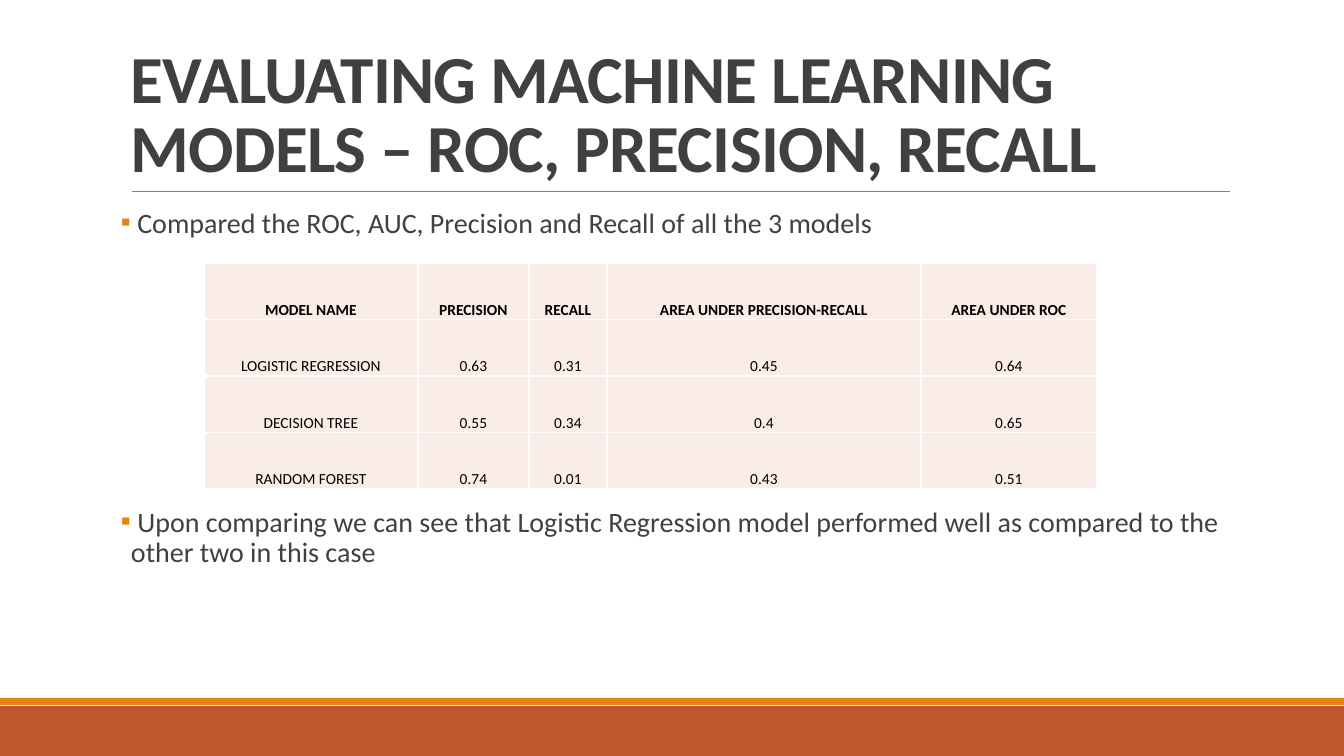
from typing import Any, NamedTuple

from lxml.etree import SubElement
from pptx import Presentation
from pptx.dml.color import RGBColor
from pptx.enum.shapes import MSO_CONNECTOR, MSO_SHAPE
from pptx.enum.text import MSO_ANCHOR, PP_ALIGN
from pptx.oxml.ns import qn
from pptx.util import Pt

EMU_PER_PIXEL = 914400 / 100.8
COLORS = {
    "rust": "BD582C",
    "orange": "E48312",
    "rule": "808080",
    "text": "404040",
    "cell": "FAEDE7",
    "black": "000000",
    "white": "FFFFFF",
}


class Box(NamedTuple):
    left: int
    top: int
    width: int
    height: int


class Band(NamedTuple):
    box: Box
    color: str


class Bullet(NamedTuple):
    text: str
    space_before: int


BANDS = [
    Band(Box(0, 706, 1344, 50), "rust"),
    Band(Box(0, 698, 1344, 7), "orange"),
]
TITLE = "EVALUATING MACHINE LEARNING MODELS – ROC, PRECISION, RECALL"
TITLE_BOX = Box(121, 31, 1109, 160)
BODY_BOX = Box(121, 204, 1109, 444)
BULLETS = [
    Bullet(" Compared the ROC, AUC, Precision and Recall of all the 3 models", 12),
    # The wide gap leaves room for the table
    Bullet(" Upon comparing we can see that Logistic Regression model performed well "
           "as compared to the other two in this case", 190),
]
TABLE_BOX = Box(204, 263, 893, 226)
COLUMN_WIDTHS = [214, 111, 78, 314, 176]
MODEL_SCORES = [
    ["MODEL NAME", "PRECISION", "RECALL", "AREA UNDER PRECISION-RECALL", "AREA UNDER ROC"],
    ["LOGISTIC REGRESSION", "0.63", "0.31", "0.45", "0.64"],
    ["DECISION TREE", "0.55", "0.34", "0.4", "0.65"],
    ["RANDOM FOREST", "0.74", "0.01", "0.43", "0.51"],
]


def px(pixels: float) -> int:
    return round(pixels * EMU_PER_PIXEL)


def emu(box: Box) -> list[int]:
    return [px(length) for length in box]


def rgb(name: str) -> RGBColor:
    return RGBColor.from_string(COLORS[name])


def apply_format(target: Any, values: dict[str, Any]) -> None:
    for name, value in values.items():
        setattr(target, name, value)


def add_run(paragraph: Any, text: str, color: str, size: int, bold: bool = False) -> Any:
    run = paragraph.add_run()
    run.text = text
    apply_format(run.font, {"name": "Calibri", "size": Pt(size), "bold": bold})
    run.font.color.rgb = rgb(color)
    return run


def add_text_frame(slide: Any, box: Box, values: dict[str, Any]) -> Any:
    text_frame = slide.shapes.add_textbox(*emu(box)).text_frame
    apply_format(text_frame, {"word_wrap": True, **values})
    return text_frame


def add_band(slide: Any, band: Band) -> None:
    shape = slide.shapes.add_shape(MSO_SHAPE.RECTANGLE, *emu(band.box))
    shape.shadow.inherit = False
    shape.fill.solid()
    shape.fill.fore_color.rgb = rgb(band.color)
    shape.line.fill.background()


def add_rule(slide: Any) -> None:
    rule = slide.shapes.add_connector(
        MSO_CONNECTOR.STRAIGHT, px(132), px(191), px(1230), px(191))
    rule.line.color.rgb = rgb("rule")
    rule.line.width = Pt(0.5)
    SubElement(rule._element.spPr, qn("a:effectLst"))


def add_title(slide: Any) -> None:
    text_frame = add_text_frame(slide, TITLE_BOX, {"vertical_anchor": MSO_ANCHOR.BOTTOM})
    paragraph = text_frame.paragraphs[0]
    paragraph.line_spacing = 0.85
    run = add_run(paragraph, TITLE, "text", 48, bold=True)
    run.font._element.set("spc", "-50")


def add_bullet(paragraph: Any, bullet: Bullet) -> None:
    apply_format(paragraph, {
        "line_spacing": 0.9,
        "space_before": Pt(bullet.space_before),
        "space_after": Pt(2),
    })
    properties = paragraph._p.get_or_add_pPr()
    properties.set("marL", str(px(10)))
    properties.set("indent", str(-px(10)))
    bullet_color = SubElement(properties, qn("a:buClr"))
    SubElement(bullet_color, qn("a:srgbClr"), val=COLORS["orange"])
    SubElement(properties, qn("a:buFont"), typeface="Calibri")
    SubElement(properties, qn("a:buChar"), char="▪")
    add_run(paragraph, bullet.text, "text", 20)


def add_body(slide: Any) -> None:
    text_frame = add_text_frame(slide, BODY_BOX, {"margin_left": 0, "margin_right": 0})
    for index, bullet in enumerate(BULLETS):
        paragraph = text_frame.add_paragraph() if index else text_frame.paragraphs[0]
        add_bullet(paragraph, bullet)


def format_cell(cell: Any, text: str, bold: bool) -> None:
    apply_format(cell, {
        "vertical_anchor": MSO_ANCHOR.BOTTOM,
        "margin_left": px(1),
        "margin_right": px(1),
        "margin_top": px(1),
        "margin_bottom": 0,
    })
    paragraph = cell.text_frame.paragraphs[0]
    paragraph.alignment = PP_ALIGN.CENTER
    add_run(paragraph, text, "black", 11, bold)
    # Borders come before the fill in the cell properties
    properties = cell._tc.get_or_add_tcPr()
    for edge in ("lnL", "lnR", "lnT", "lnB"):
        border = SubElement(properties, qn(f"a:{edge}"), w=str(Pt(1)))
        border_fill = SubElement(border, qn("a:solidFill"))
        SubElement(border_fill, qn("a:srgbClr"), val=COLORS["white"])
    cell.fill.solid()
    cell.fill.fore_color.rgb = rgb("cell")


def add_score_table(slide: Any) -> None:
    row_count = len(MODEL_SCORES)
    table = slide.shapes.add_table(row_count, len(COLUMN_WIDTHS), *emu(TABLE_BOX)).table
    apply_format(table, {"first_row": False, "horz_banding": False})
    for column, width in zip(table.columns, COLUMN_WIDTHS):
        column.width = px(width)
    for row_index, (row, texts) in enumerate(zip(table.rows, MODEL_SCORES)):
        row.height = px(TABLE_BOX.height / row_count)
        for cell, text in zip(row.cells, texts):
            format_cell(cell, text, bold=row_index == 0)


presentation = Presentation()
presentation.slide_width, presentation.slide_height = px(1344), px(756)
slide = presentation.slides.add_slide(presentation.slide_layouts[6])

# Footer bands and title rule
for band in BANDS:
    add_band(slide, band)
add_rule(slide)

# Content
add_title(slide)
add_body(slide)
add_score_table(slide)

presentation.save("out.pptx")
